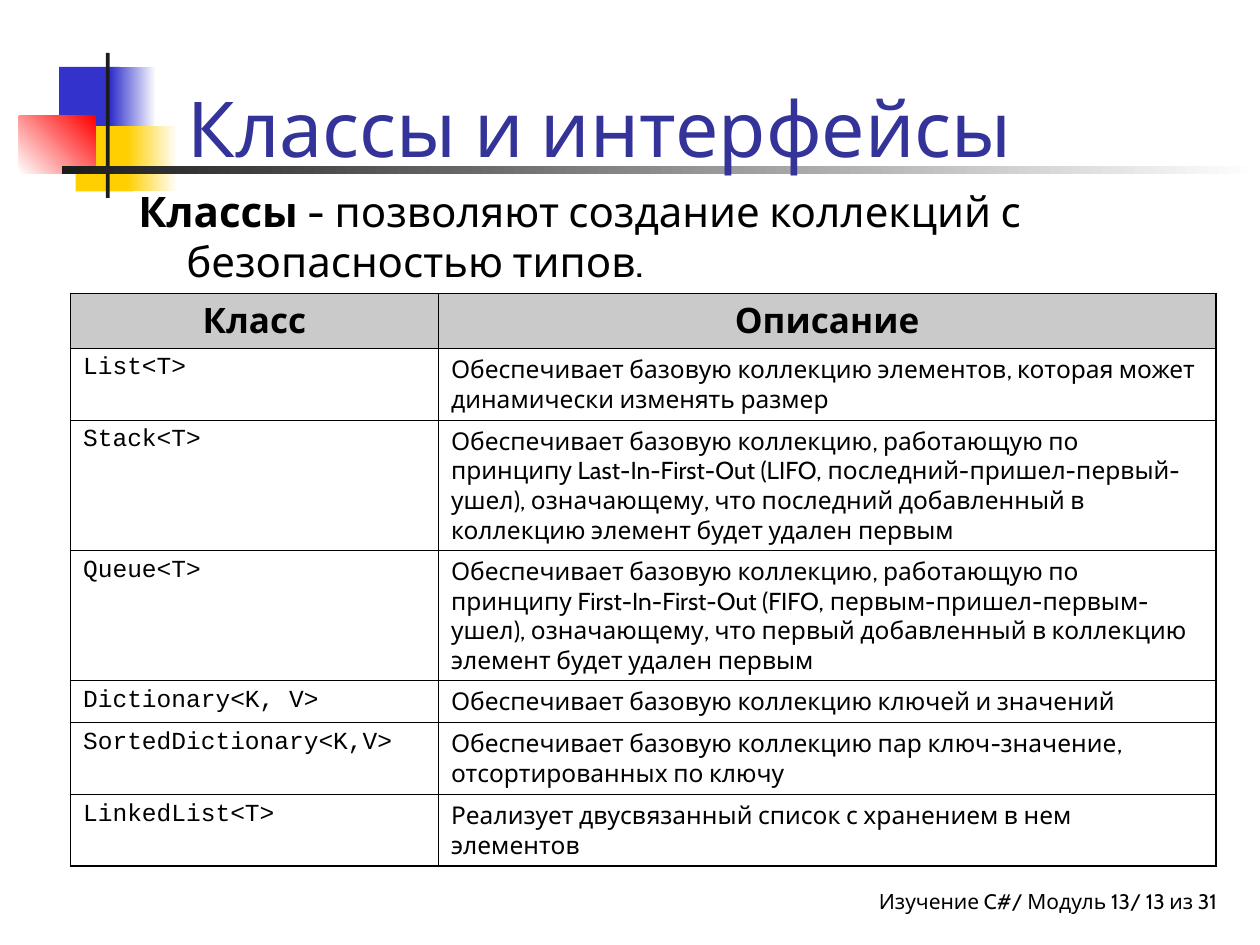
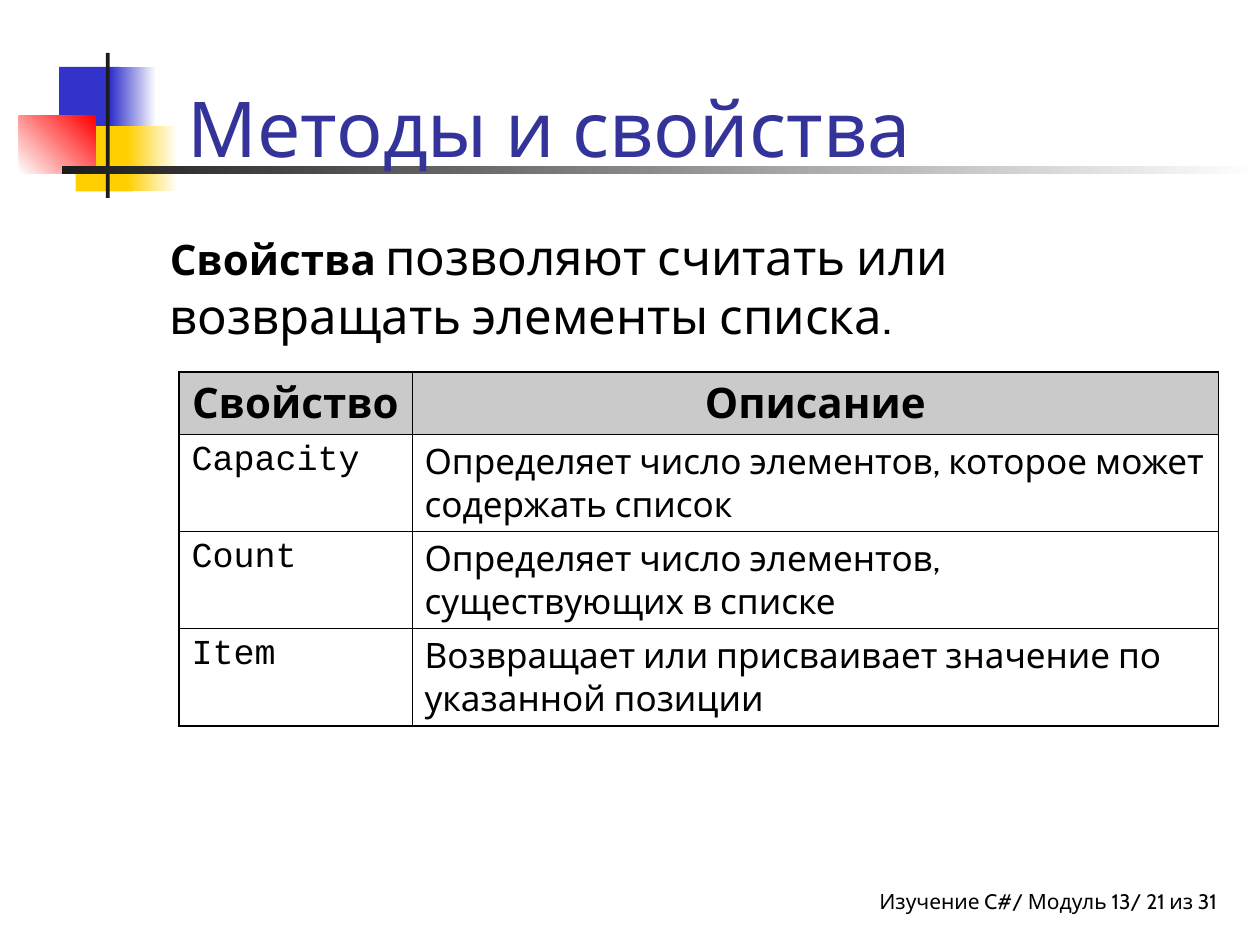
from dataclasses import dataclass

from lxml import etree
from pptx import Presentation
from pptx import util as u
from pptx.dml.color import RGBColor
from pptx.enum import shapes, text
from pptx.oxml.ns import qn


@dataclass(frozen=True)
class Theme:
    # Fonts
    font: str = "Cabin"
    code: str = "Courier New"
    # Colours
    title: str = "333399"
    ink: str = "000000"
    paper: str = "FFFFFF"
    blue: str = "3333CC"
    yellow: str = "FFCF01"
    red: str = "FF0000"
    dark: str = "1C1C1C"
    header: str = "969696"
    # Type sizes and line widths, in points
    title_size: int = 44
    lead_size: int = 24
    lead_large: int = 28
    footer_size: int = 12
    outer: float = 1.08
    inner: float = 0.45


THEME = Theme()


def write(p, words, font=THEME.font, size=THEME.lead_size, color=THEME.ink,
          bold=False, align=text.PP_ALIGN.LEFT, before=0):
    """Add one formatted run to paragraph p."""
    p.alignment = align
    p.space_before = u.Pt(before)
    r = p.add_run()
    r.text = words
    r.font.name = font
    r.font.size = u.Pt(size)
    r.font.bold = bold
    r.font.color.rgb = RGBColor.from_string(color)


def border_cell(cell, widths):
    """Draw the four cell borders; widths maps L, R, T, B to points."""
    tc_pr = cell._tc.get_or_add_tcPr()
    for i, side in enumerate("LRTB"):
        ln = etree.Element(qn(f"a:ln{side}"), w=str(u.Pt(widths[side])))
        solid = etree.SubElement(ln, qn("a:solidFill"))
        etree.SubElement(solid, qn("a:srgbClr"), val=THEME.ink)
        tc_pr.insert(i, ln)


class Deck:
    def __init__(self, theme):
        self.theme = theme
        self.prs = Presentation()
        self.prs.slide_width = u.Inches(10)
        self.prs.slide_height = u.Inches(7.5)
        self.s = None

    def slide(self, title, number):
        """Start a slide with the shared footer, ornament and title."""
        t = self.theme
        self.s = self.prs.slides.add_slide(self.prs.slide_layouts[6])
        tf = self.textbox(4.58, 7, 5.08, 0.33)
        tf.margin_right = 0
        write(tf.paragraphs[0], f"Изучение C#/ Модуль 13/ {number} из 31",
              size=t.footer_size, align=text.PP_ALIGN.RIGHT)
        self.ornament()
        tf = self.textbox(1.39, 0.17, 8.52, 1.25)
        tf.vertical_anchor = text.MSO_ANCHOR.BOTTOM
        write(tf.paragraphs[0], title, size=t.title_size, color=t.title)

    def textbox(self, x, y, w, h):
        sp = self.s.shapes.add_textbox(*map(u.Inches, (x, y, w, h)))
        sp.text_frame.word_wrap = True
        return sp.text_frame

    def block(self, x, y, w, h, color, end=None, angle=0):
        """Add a plain rectangle, or a gradient one when end is given."""
        sp = self.s.shapes.add_shape(shapes.MSO_SHAPE.RECTANGLE,
                                     *map(u.Inches, (x, y, w, h)))
        sp.shadow.inherit = False
        sp.line.fill.background()
        if end is None:
            sp.fill.solid()
            sp.fill.fore_color.rgb = RGBColor.from_string(color)
            return
        sp.fill.gradient()
        sp.fill.gradient_angle = angle
        for stop, tone in zip(sp.fill.gradient_stops, (color, end)):
            stop.color.rgb = RGBColor.from_string(tone)

    def ornament(self):
        t = self.theme
        # Coloured squares
        self.block(0.47, 0.53, 0.48, 0.52, t.blue)
        self.block(0.88, 0.53, 0.36, 0.52, t.blue, t.paper)
        self.block(0.6, 1, 0.46, 0.52, t.yellow)
        self.block(1.01, 1, 0.4, 0.52, t.yellow, t.paper)
        self.block(0.15, 0.92, 0.61, 0.46, t.paper, t.red, angle=45)
        # Crossing rules
        self.block(0.84, 0.42, 0.03, 1.15, t.dark)
        self.block(0.49, 1.32, 9.51, 0.06, t.dark, t.paper)

    def lead(self, box, term, rest, rest_size, before, hanging=0):
        """Add a paragraph that opens with a bold term."""
        p = self.textbox(*box).paragraphs[0]
        if hanging:
            p_pr = p._p.get_or_add_pPr()
            p_pr.set("marL", str(u.Inches(hanging)))
            p_pr.set("indent", str(-u.Inches(hanging)))
        write(p, term, bold=True, before=before)
        write(p, rest, size=rest_size, before=before)

    def table(self, x, y, widths, heights, rows, head_size, body_size):
        """Add a ruled table; the first column below the header is code."""
        t = self.theme
        frame = self.s.shapes.add_table(
            len(rows), len(widths),
            *map(u.Inches, (x, y, sum(widths), sum(heights))))
        tbl = frame.table
        tbl.first_row = tbl.horz_banding = False
        for col, width in zip(tbl.columns, widths):
            col.width = u.Inches(width)
        last_row, last_col = len(rows) - 1, len(widths) - 1
        for i, (row, height) in enumerate(zip(rows, heights)):
            tbl.rows[i].height = u.Inches(height)
            for j, words in enumerate(row):
                cell = tbl.cell(i, j)
                p = cell.text_frame.paragraphs[0]
                if i == 0:
                    self.shade(cell)
                    write(p, words, size=head_size, bold=True,
                          align=text.PP_ALIGN.CENTER, before=head_size / 4)
                else:
                    cell.fill.background()
                    write(p, words, font=t.font if j else t.code,
                          size=body_size, before=body_size / 4)
                on_edge = {"L": j == 0, "R": j == last_col,
                           "T": i == 0, "B": i == last_row}
                border_cell(cell, {side: t.outer if edge else t.inner
                                   for side, edge in on_edge.items()})

    def shade(self, cell):
        """Fill a header cell with half-transparent grey."""
        cell.fill.solid()
        cell.fill.fore_color.rgb = RGBColor.from_string(self.theme.header)
        clr = cell._tc.tcPr.find(".//" + qn("a:srgbClr"))
        etree.SubElement(clr, qn("a:alpha"), val="50000")


CLASSES = [
    ("Класс", "Описание"),
    ("List<T>", "Обеспечивает базовую коллекцию элементов, которая может "
                "динамически изменять размер"),
    ("Stack<T>", "Обеспечивает базовую коллекцию, работающую по принципу "
                 "Last-In-First-Out (LIFO, последний-пришел-первый-ушел), "
                 "означающему, что последний добавленный в коллекцию элемент "
                 "будет удален первым"),
    ("Queue<T>", "Обеспечивает базовую коллекцию, работающую по принципу "
                 "First-In-First-Out (FIFO, первым-пришел-первым-ушел), "
                 "означающему, что первый добавленный в коллекцию элемент "
                 "будет удален первым"),
    ("Dictionary<K, V>", "Обеспечивает базовую коллекцию ключей и значений"),
    ("SortedDictionary<K,V>", "Обеспечивает базовую коллекцию пар "
                              "ключ-значение, отсортированных по ключу"),
    ("LinkedList<T>", "Реализует двусвязанный список с хранением в нем "
                      "элементов"),
]

PROPERTIES = [
    ("Свойство", "Описание"),
    ("Capacity", "Определяет число элементов, которое может содержать список"),
    ("Count", "Определяет число элементов, существующих в списке"),
    ("Item", "Возвращает или присваивает значение по указанной позиции"),
]


def main():
    deck = Deck(THEME)

    # Collection classes
    deck.slide("Классы и интерфейсы", 13)
    deck.lead((1, 1.42, 8.58, 1), "Классы",
              " - позволяют создание коллекций с безопасностью типов.",
              THEME.lead_size, before=6, hanging=0.38)
    deck.table(0.56, 2.33, (2.92, 6.17),
               (0.43, 0.57, 1.03, 1.03, 0.33, 0.57, 0.57),
               CLASSES, head_size=20, body_size=14)

    # List properties
    deck.slide("Методы и свойства", 21)
    deck.lead((1.25, 1.75, 8.5, 5.08), "Свойства ",
              "позволяют считать или возвращать элементы списка.",
              THEME.lead_large, before=7)
    deck.table(1.42, 2.95, (1.85, 6.4), (0.5, 0.77, 0.77, 0.77),
               PROPERTIES, head_size=24, body_size=20)

    deck.prs.save("out.pptx")


if __name__ == "__main__":
    main()
